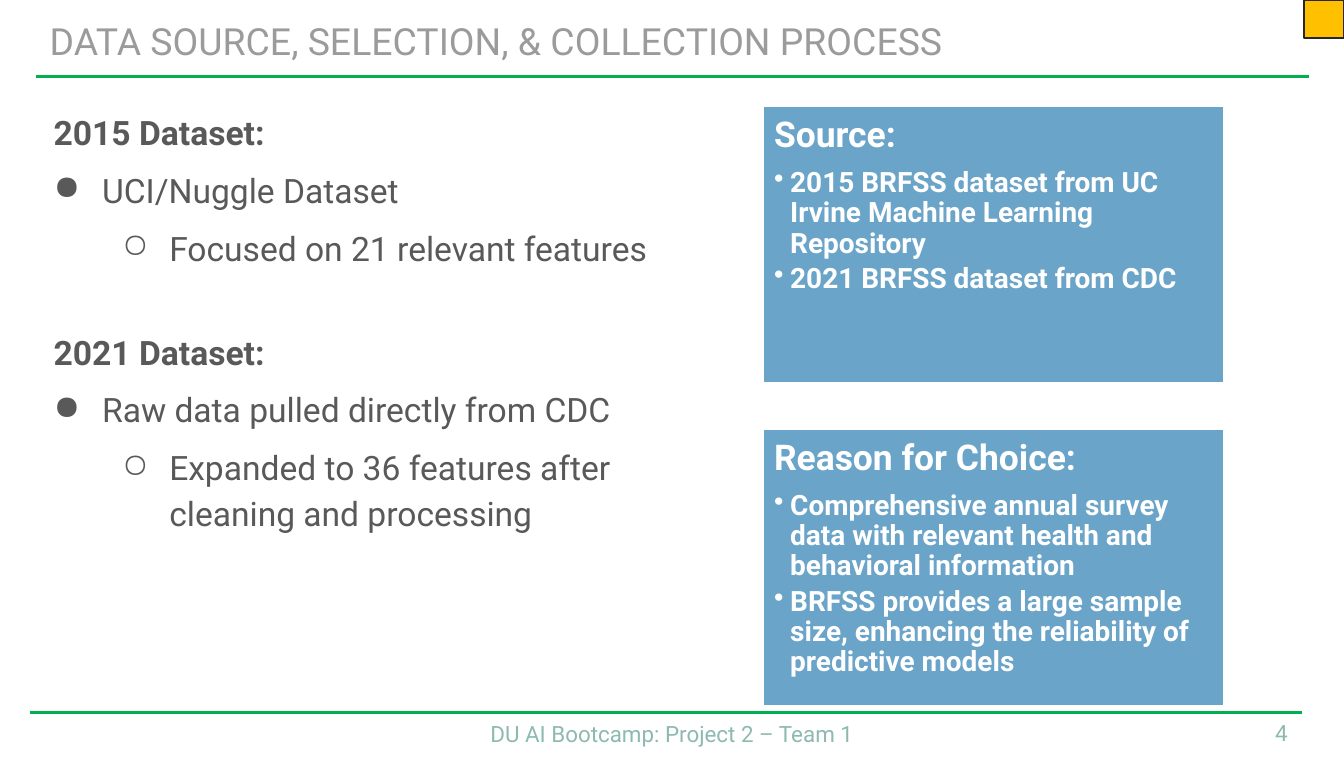
import pptx
import pptx.util
import pptx.dml.color
import pptx.enum.shapes
import pptx.enum.text
from lxml import etree
from pptx.util import Inches, Pt

COLORS = {
    "green": "00B050",
    "title": "9B9B9B",
    "footer": "8DBAB0",
    "body": "595959",
    "card": "6AA4C8",
    "white": "FFFFFF",
    "corner": "FFC000",
    "outline": "272727",
}
FONT = "Roboto"
ALIGN = pptx.enum.text.PP_ALIGN
ANCHOR = pptx.enum.text.MSO_ANCHOR
RECTANGLE = pptx.enum.shapes.MSO_SHAPE.RECTANGLE

DATASETS = [
    ("2015 Dataset:", "UCI/Nuggle Dataset", "Focused on 21 relevant features"),
    ("2021 Dataset:", "Raw data pulled directly from CDC",
     "Expanded to 36 features after cleaning and processing"),
]
CARDS = [
    ("Source:", ["2015 BRFSS dataset from UC Irvine Machine Learning Repository",
                 "2021 BRFSS dataset from CDC"]),
    ("Reason for Choice:",
     ["Comprehensive annual survey data with relevant health and behavioral information",
      "BRFSS provides a large sample size, enhancing the reliability of predictive models"]),
]


def rgb(name):
    return pptx.dml.color.RGBColor.from_string(COLORS[name])


def prepare_frame(frame, inset=None, anchor=ANCHOR.TOP):
    frame.word_wrap = True
    frame.auto_size = pptx.enum.text.MSO_AUTO_SIZE.NONE
    frame.vertical_anchor = anchor
    if inset is not None:
        frame.margin_left = frame.margin_right = Inches(inset)
        frame.margin_top = frame.margin_bottom = Inches(inset)


def next_paragraph(frame):
    first = frame.paragraphs[0]
    return frame.add_paragraph() if first.runs else first


def write(para, text, size, color, bold=False, align=ALIGN.LEFT, spacing=0.9,
          before=0, after=0, indent=(0, 0), bullet=None):
    para.text = text
    para.alignment = align
    para.line_spacing = spacing
    para.space_before, para.space_after = Pt(before), Pt(after)
    properties = para._p.get_or_add_pPr()
    properties.set("marL", str(Inches(indent[0])))
    properties.set("indent", str(Inches(indent[1])))
    tag = "a:buChar" if bullet else "a:buNone"
    mark = etree.SubElement(properties, pptx.oxml.ns.qn(tag))
    if bullet:
        mark.set("char", bullet)
    para.font.name = FONT
    para.font.size = Pt(size)
    para.font.bold = bold
    para.font.color.rgb = rgb(color)


def add_rectangle(page, box, fill, line):
    shape = page.shapes.add_shape(RECTANGLE, *map(Inches, box))
    shape.shadow.inherit = False
    shape.fill.solid()
    shape.fill.fore_color.rgb = rgb(fill)
    shape.line.color.rgb = rgb(line)
    shape.line.width = Pt(1)
    return shape


def add_rule(page, left, top, width):
    rule = page.shapes.add_connector(
        pptx.enum.shapes.MSO_CONNECTOR.STRAIGHT,
        Inches(left), Inches(top), Inches(left + width), Inches(top))
    rule.line.color.rgb = rgb("green")
    rule.line.width = Pt(1.5)
    etree.SubElement(rule._element.spPr, pptx.oxml.ns.qn("a:effectLst"))


def add_title(page, box):
    title = page.shapes.title
    title.left, title.top, title.width, title.height = map(Inches, box)
    prepare_frame(title.text_frame, anchor=ANCHOR.MIDDLE)
    write(title.text_frame.paragraphs[0],
          "DATA SOURCE, SELECTION, & COLLECTION PROCESS", 20, "title")


def add_datasets(page, box):
    frame = page.shapes.add_textbox(*map(Inches, box)).text_frame
    prepare_frame(frame, inset=0)
    for index, (heading, item, detail) in enumerate(DATASETS):
        style = dict(size=18, color="body", spacing=1.15, after=6)
        write(next_paragraph(frame), heading, bold=True, indent=(0.14, 0),
              before=25 * index, **style)
        write(next_paragraph(frame), item, indent=(0.5, -0.36), bullet="●", **style)
        write(next_paragraph(frame), detail, indent=(1, -0.35), bullet="○", **style)


def add_card(page, box, heading, items):
    frame = add_rectangle(page, box, "card", "white").text_frame
    prepare_frame(frame, inset=0.08)
    write(next_paragraph(frame), heading, 19, "white", bold=True, after=7)
    for item in items:
        write(next_paragraph(frame), item, 15, "white", bold=True, after=2.7,
              indent=(0.12, -0.12), bullet="•")


def add_cards(page, box, gap):
    left, top, width, height = box
    card_height = (height - gap * (len(CARDS) - 1)) / len(CARDS)
    for index, (heading, items) in enumerate(CARDS):
        card_top = top + index * (card_height + gap)
        add_card(page, (left, card_top, width, card_height), heading, items)


def add_footer_text(page, box, text, align):
    frame = page.shapes.add_textbox(*map(Inches, box)).text_frame
    prepare_frame(frame, anchor=ANCHOR.MIDDLE)
    write(frame.paragraphs[0], text, 12, "footer", align=align, after=6)


def main():
    deck = pptx.Presentation()
    deck.slide_width, deck.slide_height = Inches(10), Inches(5.63)
    page = deck.slides.add_slide(deck.slide_layouts.get_by_name("Title Only"))
    add_rule(page, 0.27, 0.57, 9.47)
    add_rule(page, 0.22, 5.3, 9.47)
    add_title(page, (0.27, 0.09, 9.47, 0.47))
    add_datasets(page, (0.26, 0.79, 4.67, 4.46))
    add_cards(page, (5.68, 0.79, 3.43, 4.46), gap=0.34)
    add_footer_text(page, (3.31, 5.32, 3.38, 0.3),
                    "DU AI Bootcamp: Project 2 – Team 1", ALIGN.CENTER)
    add_footer_text(page, (9.05, 5.31, 0.63, 0.3), "4", ALIGN.RIGHT)
    add_rectangle(page, (9.7, 0, 0.3, 0.28), "corner", "outline")
    deck.save("out.pptx")


if __name__ == "__main__":
    main()
